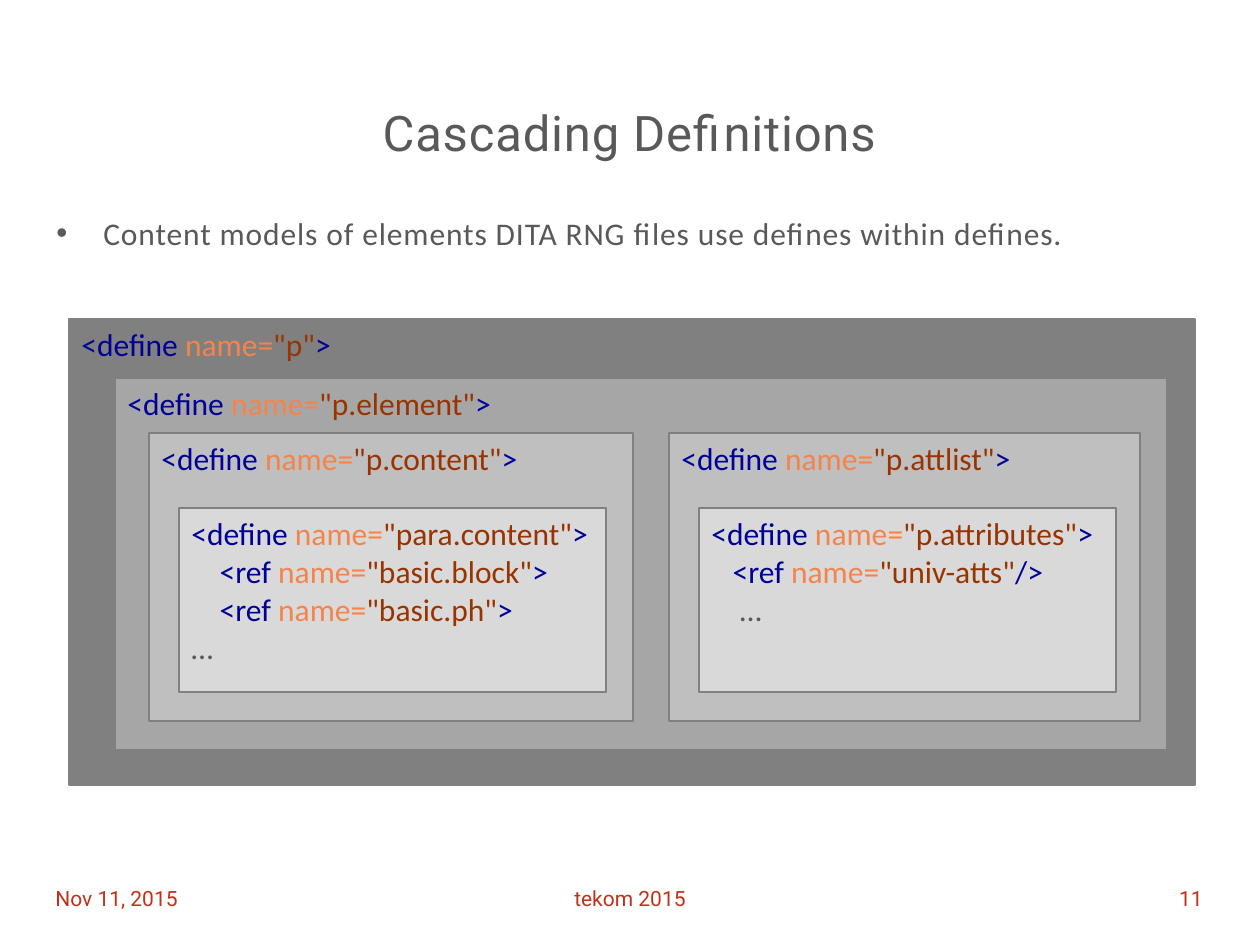
from dataclasses import dataclass

from lxml.etree import SubElement
from pptx import Presentation
from pptx.dml.color import RGBColor
from pptx.enum.shapes import MSO_SHAPE
from pptx.enum.text import MSO_ANCHOR, PP_ALIGN
from pptx.oxml.ns import qn
from pptx.util import Emu, Pt


@dataclass(frozen=True)
class Theme:
    heading_font: str = "Roboto"
    body_font: str = "Calibri"
    title_size: int = 28
    body_size: int = 18
    footer_size: int = 12
    text: str = "595959"
    footer: str = "C0311A"
    tag: str = "000096"
    attribute: str = "F5844C"
    equals: str = "FF8040"
    value: str = "993300"
    border: str = "808080"
    levels: tuple = ("808080", "A6A6A6", "BFBFBF", "D9D9D9")


THEME = Theme()


def px(length):
    return Emu(round(length * 914400 / 126))


def place(shape, box):
    shape.left, shape.top, shape.width, shape.height = map(px, box)


def inside(box, x, y, width, height):
    return box[0] + x, box[1] + y, width, height


def add_span(para, text, font, size, color, spacing=0):
    span = para.add_run()
    span.text = text
    span.font.name = font
    span.font.size = Pt(size)
    span.font.color.rgb = RGBColor.from_string(color)
    if spacing:
        span.font._element.set("spc", str(spacing))


def add_text_box(page, box, anchor):
    frame = page.shapes.add_textbox(*map(px, box)).text_frame
    frame.word_wrap = True
    frame.vertical_anchor = anchor
    return frame.paragraphs[0]


def add_title(page, box, text):
    title = page.shapes.title
    place(title, box)
    frame = title.text_frame
    frame.word_wrap = True
    frame.vertical_anchor = MSO_ANCHOR.TOP
    para = frame.paragraphs[0]
    para.alignment = PP_ALIGN.CENTER
    add_span(para, text, THEME.heading_font, THEME.title_size, THEME.text, 50)


def add_bullet(page, box, text):
    para = add_text_box(page, box, MSO_ANCHOR.TOP)
    properties = para._p.get_or_add_pPr()
    properties.set("marL", str(px(47)))
    properties.set("indent", str(-px(47)))
    SubElement(properties, qn("a:buFont")).set("typeface", "Arial")
    SubElement(properties, qn("a:buChar")).set("char", "•")
    para.line_spacing = Pt(23.6)
    add_span(para, text, THEME.body_font, THEME.body_size, THEME.text, 50)


def element(opening, name, closing=">"):
    return [
        (opening, THEME.tag),
        (" name", THEME.attribute),
        ("=", THEME.equals),
        (f'"{name}"', THEME.value),
        (closing, THEME.tag),
    ]


def add_define(page, box, level, name, *lines):
    panel = page.shapes.add_shape(MSO_SHAPE.RECTANGLE, *map(px, box))
    panel.shadow.inherit = False
    panel.fill.solid()
    panel.fill.fore_color.rgb = RGBColor.from_string(THEME.levels[level])
    panel.line.color.rgb = RGBColor.from_string(THEME.border)
    panel.line.width = Pt(0.75)
    frame = panel.text_frame
    frame.word_wrap = True
    frame.vertical_anchor = MSO_ANCHOR.TOP
    for index, line in enumerate([element("<define", name), *lines]):
        para = frame.add_paragraph() if index else frame.paragraphs[0]
        para.alignment = PP_ALIGN.LEFT
        for text, color in line:
            add_span(para, text, THEME.body_font, THEME.body_size, color)


def add_cascade(page, box):
    add_define(page, box, 0, "p")
    add_define(page, inside(box, 46, 59, 1052, 372), 1, "p.element")

    content = inside(box, 80, 114, 484, 288)
    add_define(page, content, 2, "p.content")
    add_define(
        page, inside(content, 30, 75, 427, 184), 3, "para.content",
        element("    <ref", "basic.block"),
        element("    <ref", "basic.ph"),
        [("…", THEME.text)],
    )

    attlist = inside(box, 600, 114, 471, 288)
    add_define(page, attlist, 2, "p.attlist")
    add_define(
        page, inside(attlist, 30, 75, 417, 184), 3, "p.attributes",
        element("   <ref", "univ-atts", "/>"),
        [("    …", THEME.text)],
    )


def add_footer(page, box):
    parts = [
        ("Nov 11, 2015", 0, 294, PP_ALIGN.LEFT),
        ("tekom 2015", 402, 370, PP_ALIGN.CENTER),
        ("11", 878, 294, PP_ALIGN.RIGHT),
    ]
    for text, x, width, alignment in parts:
        para = add_text_box(page, inside(box, x, 0, width, box[3]), MSO_ANCHOR.MIDDLE)
        para.alignment = alignment
        add_span(para, text, THEME.heading_font, THEME.footer_size, THEME.footer)


def main():
    deck = Presentation()
    deck.slide_width, deck.slide_height = px(1260), px(945)
    page = deck.slides.add_slide(deck.slide_layouts[5])
    add_title(page, (44, 96, 1171, 59), "Cascading Definitions")
    add_bullet(
        page, (44, 204, 1171, 645),
        "Content models of elements DITA RNG files use defines within defines.",
    )
    add_cascade(page, (69, 319, 1126, 466))
    add_footer(page, (43, 873, 1172, 50))
    deck.save("out.pptx")


if __name__ == "__main__":
    main()
